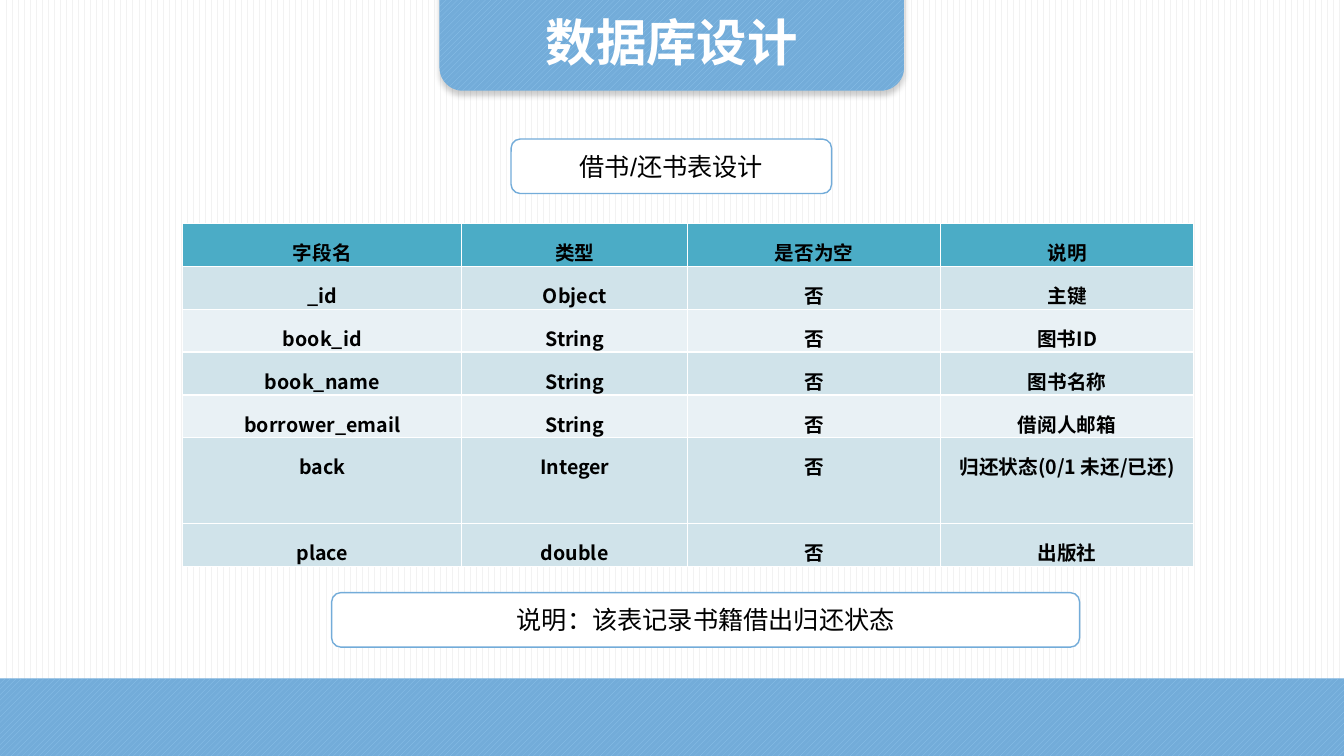
import pptx
import pptx.util
import pptx.oxml
import pptx.oxml.ns
import pptx.dml.color
import pptx.enum.dml
import pptx.enum.shapes
import pptx.enum.text
import lxml.etree

Pt = pptx.util.Pt
SHAPES = pptx.enum.shapes.MSO_SHAPE
PATTERNS = pptx.enum.dml.MSO_PATTERN
ANCHORS = pptx.enum.text.MSO_ANCHOR
qn = pptx.oxml.ns.qn

# Content
TITLE = "数据库设计"
CAPTIONS = [  # text, (left, top, width, height)
    ("借书/还书表设计", (365.04, 99.36, 228.96, 38.88)),
    ("说明：该表记录书籍借出归还状态", (236.88, 423.36, 534.24, 38.88)),
]
FIELDS = [
    ("字段名", "类型", "是否为空", "说明"),
    ("_id", "Object", "否", "主键"),
    ("book_id", "String", "否", "图书ID"),
    ("book_name", "String", "否", "图书名称"),
    ("borrower_email", "String", "否", "借阅人邮箱"),
    ("back", "Integer", "否", "归还状态(0/1 未还/已还)"),
    ("place", "double", "否", "出版社"),
]
ROW_FILLS = ["header", "band", "light", "band", "light", "band", "band"]
COLUMN_WIDTHS = [199.44, 161.28, 180.72, 180.72]
TABLE_LEFT, TABLE_TOP, ROW_HEIGHT = 130.5, 159.5, 26.64
PAGE_WIDTH, PAGE_HEIGHT = 960, 540
FOOTER_TOP = 484.6
TAB = (313.92, -35.28, 331.92, 100.08)
TITLE_BOX = (313.92, -4.32, 331.92, 59.76)
TEXT_FONT, TABLE_FONT = "Arial", "Noto Sans CJK SC"
COLOURS = {
    "white": "FFFFFF", "black": "000000", "stripe": "F2F2F2",
    "blue": "73ACD9", "blue_stripe": "90C5ED",
    "header": "4BACC6", "band": "D0E3EA", "light": "E9F1F5",
}


def colour(name):
    return pptx.dml.color.RGBColor.from_string(COLOURS[name])


def fill_pattern(fill, pattern, front, back):
    fill.patterned()
    fill.pattern = pattern
    fill.fore_color.rgb = colour(front)
    fill.back_color.rgb = colour(back)


def add_shape(page, kind, place):
    shape = page.shapes.add_shape(kind, *map(Pt, place))
    shape.shadow.inherit = False
    return shape


def add_striped(page, kind, place):
    shape = add_shape(page, kind, place)
    fill_pattern(shape.fill, PATTERNS.WIDE_UPWARD_DIAGONAL, "blue_stripe", "blue")
    shape.line.fill.background()
    return shape


def write(frame, text, size, font, ink="black", bold=False, spacing=1.0):
    para = frame.paragraphs[0]
    span = para.add_run()
    span.text = text
    para.alignment = pptx.enum.text.PP_ALIGN.CENTER
    para.line_spacing = spacing
    para.font.size = Pt(size)
    para.font.name = font
    para.font.bold = bold
    para.font.color.rgb = colour(ink)


def add_shadow(shape):
    effects = shape._element.spPr.find(qn("a:effectLst"))
    effects.append(pptx.oxml.parse_xml(
        '<a:outerShdw xmlns:a="http://schemas.openxmlformats.org/drawingml/2006/main"'
        f' blurRad="{Pt(4)}" dist="{Pt(3)}" dir="5400000" algn="t" rotWithShape="0">'
        f'<a:srgbClr val="{COLOURS["black"]}"><a:alpha val="20000"/></a:srgbClr>'
        '</a:outerShdw>'))


def border_cell(cell):
    properties = cell._tc.get_or_add_tcPr()
    for index, side in enumerate(("lnL", "lnR", "lnT", "lnB")):
        line = lxml.etree.Element(qn(f"a:{side}"), w=str(Pt(1)))
        solid = lxml.etree.SubElement(line, qn("a:solidFill"))
        lxml.etree.SubElement(solid, qn("a:srgbClr"), val=COLOURS["white"])
        properties.insert(index, line)


def add_field_table(page):
    frame = page.shapes.add_table(
        len(FIELDS), len(COLUMN_WIDTHS), Pt(TABLE_LEFT), Pt(TABLE_TOP),
        Pt(sum(COLUMN_WIDTHS)), Pt(ROW_HEIGHT * len(FIELDS)))
    table = frame.table
    for column, width in zip(table.columns, COLUMN_WIDTHS):
        column.width = Pt(width)
    for row, texts, fill in zip(table.rows, FIELDS, ROW_FILLS):
        row.height = Pt(ROW_HEIGHT)
        for cell, text in zip(row.cells, texts):
            cell.margin_left = cell.margin_right = Pt(5)
            cell.margin_top = cell.margin_bottom = 0
            cell.fill.solid()
            cell.fill.fore_color.rgb = colour(fill)
            border_cell(cell)
            write(cell.text_frame, text, 14, TABLE_FONT, bold=True, spacing=1.5)


def main():
    deck = pptx.Presentation()
    deck.slide_width, deck.slide_height = Pt(PAGE_WIDTH), Pt(PAGE_HEIGHT)
    page = deck.slides.add_slide(deck.slide_layouts[5])
    fill_pattern(page.background.fill, PATTERNS.DASHED_VERTICAL, "stripe", "white")

    # Footer band and title tab
    add_striped(page, SHAPES.RECTANGLE,
                (0, FOOTER_TOP, PAGE_WIDTH, PAGE_HEIGHT - FOOTER_TOP))
    tab = add_striped(page, SHAPES.ROUNDED_RECTANGLE, TAB)
    add_shadow(tab)

    # Title, raised above its tab
    title = page.shapes.title
    title.left, title.top, title.width, title.height = map(Pt, TITLE_BOX)
    title.text_frame.vertical_anchor = ANCHORS.TOP
    write(title.text_frame, TITLE, 36, TEXT_FONT, "white", bold=True, spacing=1.2)
    tab._element.addnext(title._element)

    # Captions above and below the table
    for text, place in CAPTIONS:
        box = add_shape(page, SHAPES.FLOWCHART_ALTERNATE_PROCESS, place)
        box.fill.solid()
        box.fill.fore_color.rgb = colour("white")
        box.line.color.rgb = colour("blue")
        box.line.width = Pt(1)
        box.text_frame.vertical_anchor = ANCHORS.MIDDLE
        write(box.text_frame, text, 18, TEXT_FONT)

    add_field_table(page)
    deck.save("out.pptx")


if __name__ == "__main__":
    main()
